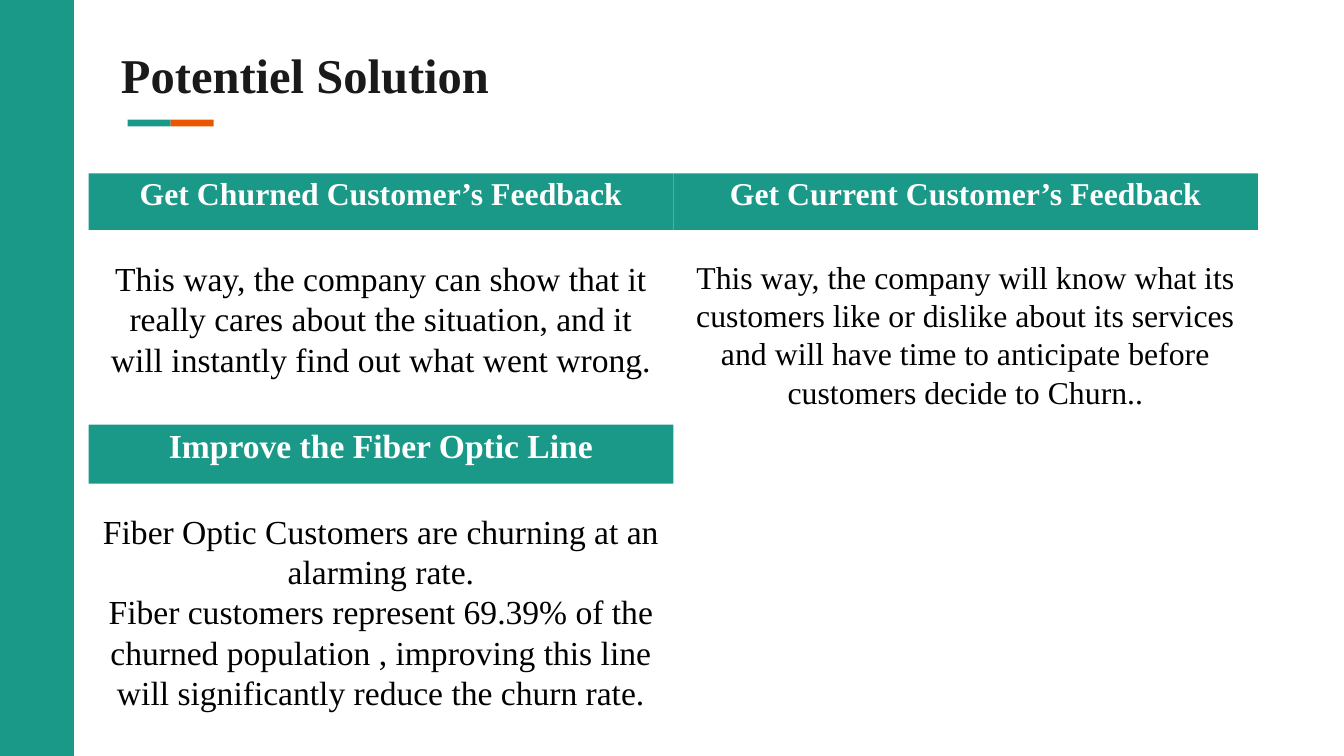
from pptx import Presentation
from pptx.dml.color import RGBColor
from pptx.enum.shapes import MSO_SHAPE
from pptx.enum.text import MSO_ANCHOR, PP_ALIGN
from pptx.util import Inches, Pt

FONT = "Times New Roman"
TEAL, ORANGE, INK, BLACK, WHITE = "1A9988", "EB5500", "1A1A1A", "000000", "FFFFFF"
SLIDE_W = 10
SLIDE_H = SLIDE_W * 9 / 16

TITLE = "Potentiel Solution"
# column, top, heading, heading size, bar height, body offset, body height, body size, body paragraphs
SOLUTIONS = [
    (0, 1.29, "Get Churned Customer’s Feedback", 17, 0.42, 0.53, 1.11, 18, [
        "This way, the company can show that it really cares about the situation, "
        "and it will instantly find out what went wrong."]),
    (1, 1.29, "Get Current Customer’s Feedback", 17, 0.42, 0.53, 1.35, 17, [
        "This way, the company will know what its customers like or dislike about its "
        "services and will have time to anticipate before customers decide to Churn.."]),
    (0, 3.16, "Improve the Fiber Optic Line", 18, 0.44, 0.54, 1.72, 18, [
        "Fiber Optic Customers are churning at an alarming rate.",
        "Fiber customers represent 69.39% of the churned population , improving this "
        "line will significantly reduce the churn rate."]),
]
GRID_LEFT, COLUMN_W = 0.66, 4.35
ACCENT_W = 0.32


def rgb(color):
    return RGBColor.from_string(color)


def add_block(slide, left, top, width, height, color):
    block = slide.shapes.add_shape(
        MSO_SHAPE.RECTANGLE, Inches(left), Inches(top), Inches(width), Inches(height))
    block.shadow.inherit = False
    block.fill.solid()
    block.fill.fore_color.rgb = rgb(color)
    block.line.fill.background()
    return block


def write(frame, paragraphs, size, color, bold=False, inset=0.0,
          align=PP_ALIGN.CENTER, anchor=MSO_ANCHOR.TOP):
    frame.word_wrap = True
    frame.vertical_anchor = anchor
    frame.margin_left = frame.margin_right = Inches(inset)
    frame.margin_top = frame.margin_bottom = Inches(inset)
    frame.text = "\n".join(paragraphs)
    for paragraph in frame.paragraphs:
        paragraph.alignment = align
        paragraph.line_spacing = 1.0
        for run in paragraph.runs:
            run.font.name = FONT
            run.font.size = Pt(size)
            run.font.bold = bold
            run.font.color.rgb = rgb(color)


def main():
    prs = Presentation()
    prs.slide_width, prs.slide_height = Inches(SLIDE_W), Inches(SLIDE_H)
    slide = prs.slides.add_slide(prs.slide_layouts[5])

    add_block(slide, 0, 0, 0.55, SLIDE_H, TEAL)
    for i, color in enumerate((TEAL, ORANGE)):
        add_block(slide, 0.95 + i * ACCENT_W, 0.89, ACCENT_W, 0.05, color)

    title = slide.shapes.title
    title.left, title.top = Inches(0.9), Inches(0.33)
    title.width, title.height = Inches(8.2), Inches(0.44)
    write(title.text_frame, [TITLE], 26, INK, bold=True,
          align=PP_ALIGN.LEFT, anchor=MSO_ANCHOR.BOTTOM)

    for (column, top, heading, heading_size, bar_h,
         body_offset, body_h, body_size, paragraphs) in SOLUTIONS:
        left = GRID_LEFT + column * COLUMN_W
        bar = add_block(slide, left, top, COLUMN_W, bar_h, TEAL)
        write(bar.text_frame, [heading], heading_size, WHITE, bold=True)
        body = slide.shapes.add_textbox(
            Inches(left), Inches(top + body_offset), Inches(COLUMN_W), Inches(body_h))
        write(body.text_frame, paragraphs, body_size, BLACK, inset=0.1)

    prs.save("out.pptx")


if __name__ == "__main__":
    main()
